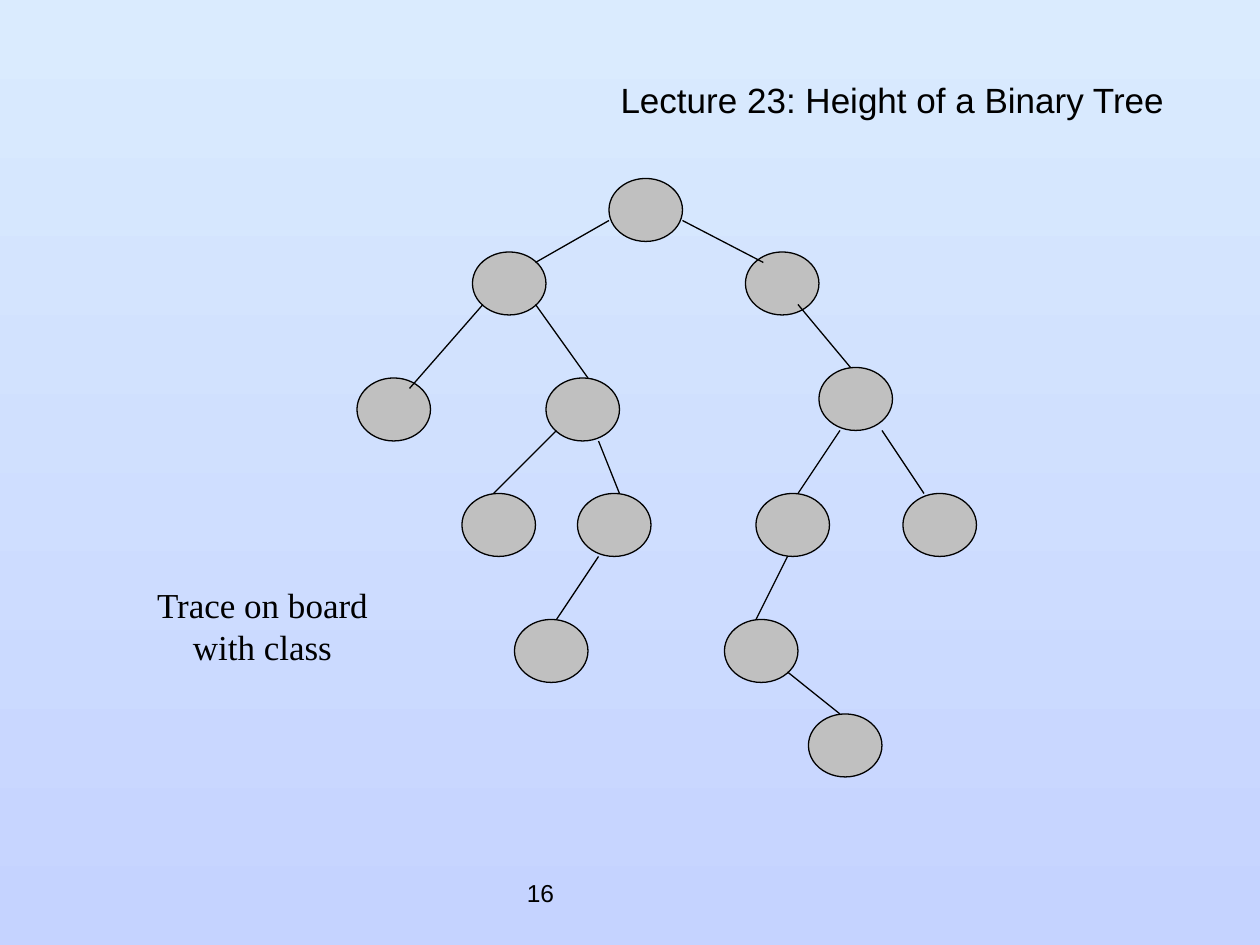
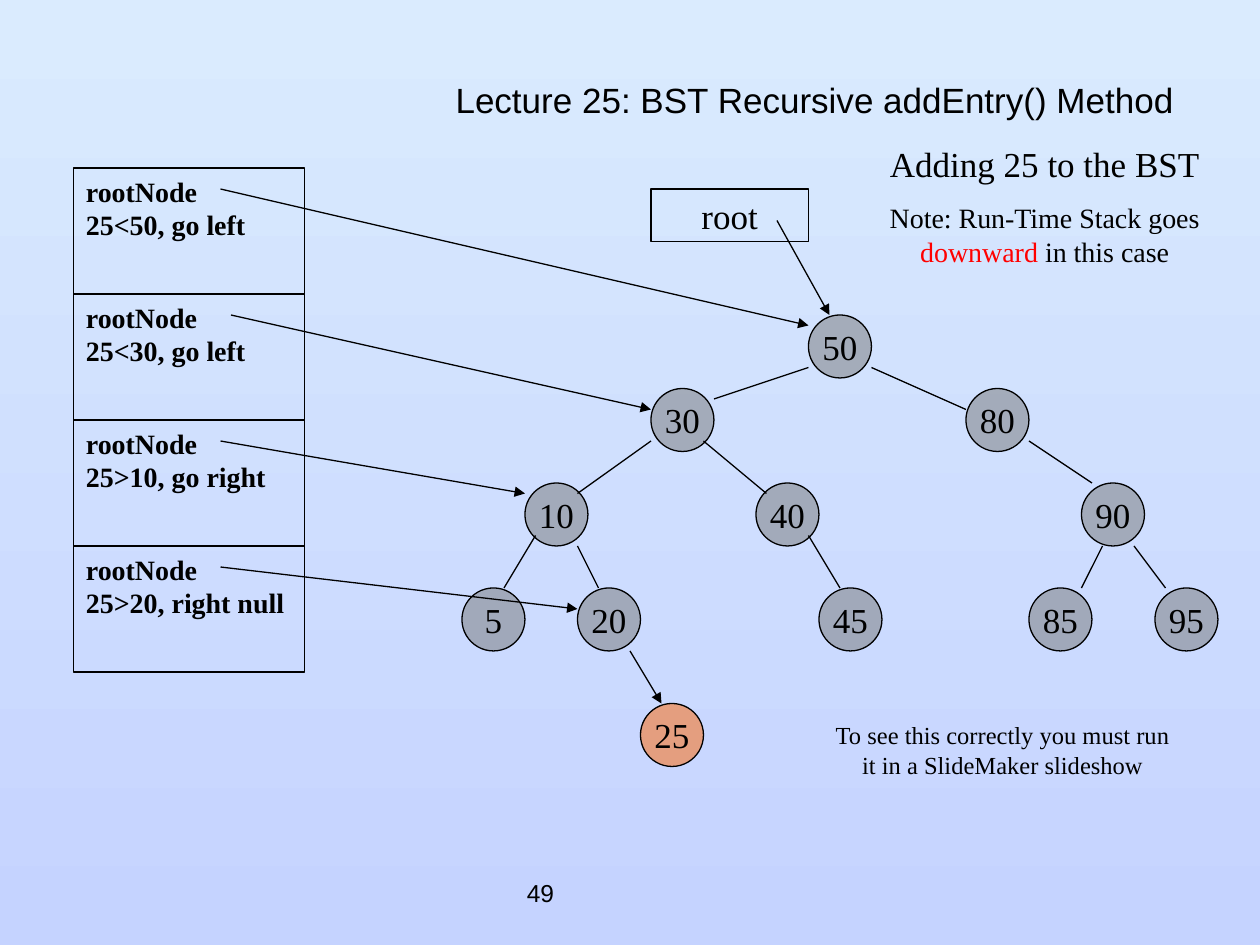
from pptx import Presentation
from pptx.dml.color import RGBColor
from pptx.enum.shapes import MSO_CONNECTOR, MSO_SHAPE
from pptx.enum.text import MSO_ANCHOR, PP_ALIGN
from pptx.oxml.ns import qn
from pptx.util import Emu, Pt
from lxml.etree import SubElement

PX = 914400 // 120
COLORS = {
    "sky": "DAEBFE",
    "dusk": "C5D3FF",
    "ink": "000000",
    "silver": "C0C0C0",
    "gray": "777777",
    "orange": "FF6600",
    "red": "FF0000",
}
LINE_WIDTH = 0.75
TITLE_PLACE = (70, 80, 1060, 40)
NUMBER_PLACE = (490, 820, 250, 60)

TITLE = {"name": "Arial", "size": Pt(20)}
NUMBER = {"name": "Arial", "size": Pt(14)}
BODY = {"name": "Times New Roman", "size": Pt(20)}
NOTE = {"name": "Times New Roman", "size": Pt(16)}
CAPTION = {"name": "Times New Roman", "size": Pt(14)}
FRAME = {"name": "Times New Roman", "size": Pt(16), "bold": True}

HEIGHT_TREE = {
    "title": "Lecture 23: Height of a Binary Tree ",
    "number": "16",
    "node_size": (70, 60),
    "nodes": [
        (580, 170), (450, 240), (710, 240), (340, 360), (520, 360), (780, 350),
        (440, 470), (550, 470), (720, 470), (860, 470), (490, 590), (690, 590),
        (770, 680),
    ],
    "edges": [
        (580, 210, 510, 250), (460, 290, 390, 370), (510, 290, 560, 360),
        (530, 410, 470, 470), (570, 420, 590, 470), (650, 210, 727, 250),
        (760, 290, 810, 350), (800, 410, 760, 470), (840, 410, 880, 470),
        (750, 530, 720, 590), (750, 640, 800, 680), (570, 530, 530, 590),
    ],
    "texts": [
        ((130, 550, 240, 92), [(BODY, [("Trace on board with class", "ink")])]),
    ],
}

SEARCH_TREE = {
    "title": "Lecture 25: BST Recursive addEntry() Method",
    "number": "49",
    "node_size": (60, 60),
    "nodes": [
        (770, 300, "50"), (620, 370, "30"), (920, 370, "80"),
        (500, 460, "10"), (720, 460, "40"), (1030, 460, "90"),
        (440, 560, "5"), (550, 560, "20"), (780, 560, "45"),
        (980, 560, "85"), (1100, 560, "95"),
    ],
    "added_node": (610, 670, "25"),
    "edges": [
        (620, 420, 550, 470), (510, 510, 480, 560), (550, 520, 570, 560),
        (670, 420, 730, 470), (770, 510, 800, 560), (830, 350, 920, 390),
        (770, 350, 680, 380), (980, 420, 1040, 460), (1050, 520, 1030, 560),
        (1080, 520, 1110, 560),
    ],
    "texts": [
        ((820, 130, 350, 132), [
            (BODY, [("Adding 25 to the BST", "ink")]),
            (NOTE, [("Note: Run-Time Stack goes ", "ink"), ("downward", "red"),
                    (" in this case", "ink")]),
        ]),
        ((780, 680, 350, 68), [
            (CAPTION, [("To see this correctly you must run it in a SlideMaker slideshow", "ink")]),
        ]),
    ],
    "root": ((620, 180, 150, 50), "root"),
    "stack_place": (70, 160, 220, 120),
    "stack": ["25<50, go left", "25<30, go left", "25>10, go right", "25>20, right null"],
    "arrows": [
        (210, 180, 770, 310), (220, 300, 620, 390), (210, 420, 500, 470),
        (210, 540, 550, 580), (600, 620, 630, 670), (740, 210, 790, 300),
    ],
}


def color(name):
    return RGBColor.from_string(COLORS[name])


def scaled(values):
    return [Emu(value * PX) for value in values]


def write(box, paragraphs, align=PP_ALIGN.LEFT, anchor=MSO_ANCHOR.TOP, wrap=True, gap=0, spacing=None):
    frame = box.text_frame
    frame.word_wrap = wrap
    frame.vertical_anchor = anchor
    for index, (style, spans) in enumerate(paragraphs):
        para = frame.add_paragraph() if index else frame.paragraphs[0]
        para.alignment = align
        if spacing:
            para.line_spacing = spacing
        if index and gap:
            para.space_before = Pt(gap)
        for text, ink in spans:
            span = para.add_run()
            span.text = text
            for key, value in style.items():
                setattr(span.font, key, value)
            span.font.color.rgb = color(ink)


def add_text(page, place, paragraphs, **layout):
    write(page.shapes.add_textbox(*scaled(place)), paragraphs, **layout)


def add_outlined(page, kind, place, fill=None, opacity=100):
    shape = page.shapes.add_shape(kind, *scaled(place))
    shape.shadow.inherit = False
    if fill:
        shape.fill.solid()
        shape.fill.fore_color.rgb = color(fill)
        if opacity < 100:
            tint = shape._element.spPr.find(".//" + qn("a:srgbClr"))
            SubElement(tint, qn("a:alpha")).set("val", str(opacity * 1000))
    else:
        shape.fill.background()
    shape.line.color.rgb = color("ink")
    shape.line.width = Pt(LINE_WIDTH)
    return shape


def add_label(shape, text):
    write(shape, [(BODY, [(text, "ink")])], PP_ALIGN.CENTER, MSO_ANCHOR.MIDDLE, wrap=False)


def add_line(page, ends, arrow=False):
    line = page.shapes.add_connector(MSO_CONNECTOR.STRAIGHT, *scaled(ends))
    line.line.color.rgb = color("ink")
    line.line.width = Pt(LINE_WIDTH)
    if arrow:
        SubElement(line.line._get_or_add_ln(), qn("a:tailEnd")).set("type", "triangle")
    SubElement(line._element.spPr, qn("a:effectLst"))


def add_page(deck, content):
    page = deck.slides.add_slide(deck.slide_layouts[6])
    fill = page.background.fill
    fill.gradient()
    fill.gradient_angle = 270
    for stop, name, position in zip(fill.gradient_stops, ("sky", "dusk"), (0, 1)):
        stop.color.rgb = color(name)
        stop.position = position
    add_text(page, NUMBER_PLACE, [(NUMBER, [(content["number"], "ink")])], anchor=MSO_ANCHOR.MIDDLE)
    add_text(page, TITLE_PLACE, [(TITLE, [(content["title"], "ink")])],
             align=PP_ALIGN.RIGHT, anchor=MSO_ANCHOR.MIDDLE, spacing=0.7)
    return page


def add_node(page, content, node, fill, opacity=100):
    left, top, *label = node
    shape = add_outlined(page, MSO_SHAPE.OVAL, (left, top, *content["node_size"]), fill, opacity)
    for text in label:
        add_label(shape, text)


def add_tree(page, content, fill, opacity=100):
    for node in content["nodes"]:
        add_node(page, content, node, fill, opacity)
    for edge in content["edges"]:
        add_line(page, edge)
    for place, paragraphs in content["texts"]:
        add_text(page, place, paragraphs, align=PP_ALIGN.CENTER, gap=9)


def add_stack(page, content):
    left, top, width, height = content["stack_place"]
    for index, step in enumerate(content["stack"]):
        box = add_outlined(page, MSO_SHAPE.RECTANGLE, (left, top + index * height, width, height))
        write(box, [(FRAME, [(text, "ink")]) for text in ("rootNode", step)], wrap=False)


def main():
    deck = Presentation()
    deck.slide_width, deck.slide_height = scaled((1200, 900))

    add_tree(add_page(deck, HEIGHT_TREE), HEIGHT_TREE, "silver")

    page = add_page(deck, SEARCH_TREE)
    add_tree(page, SEARCH_TREE, "gray", 50)
    add_stack(page, SEARCH_TREE)
    add_node(page, SEARCH_TREE, SEARCH_TREE["added_node"], "orange", 50)
    place, text = SEARCH_TREE["root"]
    add_label(add_outlined(page, MSO_SHAPE.RECTANGLE, place), text)
    for arrow in SEARCH_TREE["arrows"]:
        add_line(page, arrow, arrow=True)

    deck.save("out.pptx")


if __name__ == "__main__":
    main()
